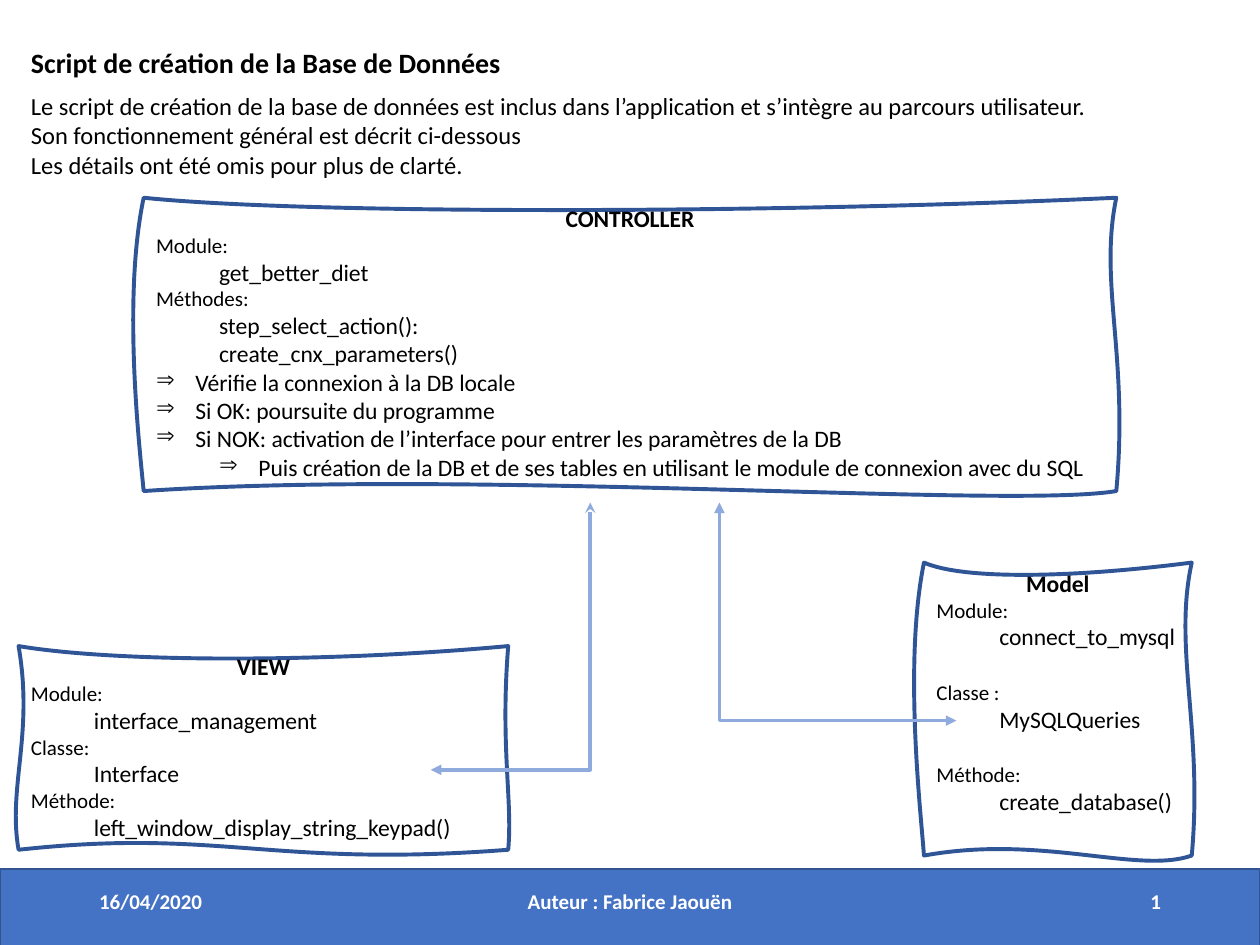
import pptx
import pptx.util
import pptx.dml.color
import pptx.enum.shapes
import pptx.enum.text
import pptx.oxml
import pptx.oxml.ns
from lxml import etree

Pt = pptx.util.Pt
Align = pptx.enum.text.PP_ALIGN
Anchor = pptx.enum.text.MSO_ANCHOR
qn = pptx.oxml.ns.qn

THEME = {
    "font": "Calibri", "black": "000000", "white": "FFFFFF",
    "bar": "4472C4", "bar_line": "325491", "outline": "2F5597", "arrow": "8FAADC",
    "title": 16, "body": 14, "item": 13.5, "label": 12,
}

TITLE = "Script de création de la Base de Données"
INTRODUCTION = [
    "Le script de création de la base de données est inclus dans l’application "
    "et s’intègre au parcours utilisateur.",
    "Son fonctionnement général est décrit ci-dessous\v"
    "Les détails ont été omis pour plus de clarté.",
]
FOOTER = [
    ("16/04/2020", 49.5, 162, Align.LEFT),
    ("Auteur : Fabrice Jaouën", 238.5, 243, Align.CENTER),
    ("1", 508.5, 162, Align.RIGHT),
]

STYLES = {
    "heading": {"size": "item", "bold": True, "align": Align.CENTER},
    "label": {"size": "label"},
    "spaced label": {"size": "label", "before": 16.5},
    "item": {"size": "item", "left": 36},
    "step": {"size": "item", "left": 22.5, "bullet": True},
    "substep": {"size": "item", "left": 58.5, "bullet": True, "level": 1},
}

SCROLLS = [
    {
        "box": (82.1, 113, 637.9, 280.6),
        "bends": [((172.8, 122.4), (434.9, 122.4)), ((627.8, 162), (645.1, 203)),
                  ((576.7, 290.9), (272.2, 267.8)), ((79.9, 257), (69.8, 171.4))],
        "lines": [
            ("heading", "CONTROLLER"),
            ("label", "Module:"),
            ("item", "get_better_diet"),
            ("label", "Méthodes:"),
            ("item", "step_select_action():"),
            ("item", "create_cnx_parameters()"),
            ("step", "Vérifie la connexion à la DB locale"),
            ("step", "Si OK: poursuite du programme"),
            ("step", "Si NOK: activation de l’interface pour entrer les paramètres de la DB"),
            ("substep", "Puis création de la DB et de ses tables en utilisant "
                        "le module de connexion avec du SQL"),
        ],
    },
    {
        "box": (10.6, 369.2, 290.4, 485.6),
        "bends": [((67, 378.7), (187.2, 378.7)), ((285.8, 427), (293, 457.2)),
                  ((154.1, 496.1), (126, 473)), ((4.3, 450), (19.4, 419.8))],
        "lines": [
            ("heading", "VIEW"),
            ("label", "Module:"),
            ("item", "interface_management"),
            ("label", "Classe:"),
            ("item", "Interface"),
            ("label", "Méthode:"),
            ("item", "left_window_display_string_keypad()"),
        ],
    },
    {
        "box": (528, 321.5, 681, 488.9),
        "bends": [((550.1, 331.2), (610.6, 330.5)), ((670.3, 370.1), (687.6, 416.9)),
                  ((650.2, 499.7), (595.4, 476.6)), ((526.3, 465.1), (516.2, 379.4))],
        "lines": [
            ("heading", "Model"),
            ("label", "Module:"),
            ("item", "connect_to_mysql"),
            ("spaced label", "Classe :"),
            ("item", "MySQLQueries"),
            ("spaced label", "Méthode:"),
            ("item", "create_database()"),
        ],
    },
]

ARROWS = [
    ((546.5, 411.8), (411.1, 287.2), "triangle"),
    ((246.2, 439.9), (337.3, 287.2), "stealth"),
]


def color(name):
    return pptx.dml.color.RGBColor.from_string(THEME[name])


def write(paragraph, text, size, ink="black", bold=False, align=Align.LEFT,
          left=0, before=0, bullet=False, level=0):
    paragraph.text = text
    paragraph.alignment = align
    paragraph.level = level
    paragraph.space_before = Pt(before)
    for run in paragraph.runs:
        run.font.name = THEME["font"]
        run.font.size = Pt(THEME[size])
        run.font.bold = bold
        run.font.color.rgb = color(ink)
    properties = paragraph._p.get_or_add_pPr()
    properties.set("marL", str(Pt(left)))
    properties.set("indent", str(-Pt(22.5) if bullet else 0))
    if bullet:
        etree.SubElement(properties, qn("a:buChar")).set("char", "⇒")


def paragraphs(text_frame, count):
    for _ in range(count - 1):
        text_frame.add_paragraph()
    return text_frame.paragraphs


def add_text(slide, box, texts, size, anchor=Anchor.TOP, **style):
    text_frame = slide.shapes.add_textbox(*map(Pt, box)).text_frame
    text_frame.word_wrap = True
    text_frame.vertical_anchor = anchor
    for paragraph, text in zip(paragraphs(text_frame, len(texts)), texts):
        write(paragraph, text, size, **style)


def add_scroll(slide, box, bends, lines):
    left, top, right, bottom = box
    corners = [(right, top), (right, bottom), (left, bottom), (left, top)]
    builder = slide.shapes.build_freeform(Pt(left), Pt(top))
    builder.add_line_segments([(Pt(x), Pt(y)) for x, y in corners], close=True)
    shape = builder.convert_to_shape()
    for segment, bend in zip(shape._element.xpath(".//a:path/a:lnTo"), bends):
        curve = etree.Element(qn("a:cubicBezTo"))
        for x, y in bend:
            point = etree.SubElement(curve, qn("a:pt"))
            point.set("x", str(Pt(x) - Pt(left)))
            point.set("y", str(Pt(y) - Pt(top)))
        segment.addprevious(curve)
        curve.append(segment[0])
        segment.getparent().remove(segment)
    shape.shadow.inherit = False
    shape.fill.background()
    shape.line.color.rgb = color("outline")
    shape.line.width = Pt(2.25)
    text_frame = shape.text_frame
    text_frame.word_wrap = True
    text_frame.vertical_anchor = Anchor.TOP
    for paragraph, (style, text) in zip(paragraphs(text_frame, len(lines)), lines):
        write(paragraph, text, **STYLES[style])


def add_arrow(slide, start, end, tail):
    elbow = pptx.enum.shapes.MSO_CONNECTOR.ELBOW
    connector = slide.shapes.add_connector(elbow, *map(Pt, start + end))
    connector.line.color.rgb = color("arrow")
    connector.line.width = Pt(2)
    properties = connector._element.spPr
    properties.find(qn("a:prstGeom")).set("prst", "bentConnector2")
    line = properties.find(qn("a:ln"))
    for tag, kind in (("a:headEnd", "triangle"), ("a:tailEnd", tail)):
        etree.SubElement(line, qn(tag)).set("type", kind)
    etree.SubElement(properties, qn("a:effectLst"))


presentation = pptx.Presentation()
presentation.slide_width, presentation.slide_height = Pt(720), Pt(540)
slide = presentation.slides.add_slide(presentation.slide_layouts[6])

bar = slide.shapes.add_shape(pptx.enum.shapes.MSO_SHAPE.RECTANGLE,
                             Pt(0), Pt(496.5), Pt(720), Pt(45))
bar.shadow.inherit = False
bar.fill.solid()
bar.fill.fore_color.rgb = color("bar")
bar.line.color.rgb = color("bar_line")
bar.line.width = Pt(1)
for text, left, width, align in FOOTER:
    add_text(slide, (left, 500.5, width, 28.8), [text], "label", Anchor.MIDDLE,
             ink="white", bold=True, align=align)

add_text(slide, (10.6, 22.3, 286.6, 26.6), [TITLE], "title", bold=True)
for scroll in SCROLLS:
    add_scroll(slide, **scroll)
for arrow in ARROWS:
    add_arrow(slide, *arrow)
add_text(slide, (10.6, 48.4, 624.2, 58.2), INTRODUCTION, "body")

presentation.save("out.pptx")
